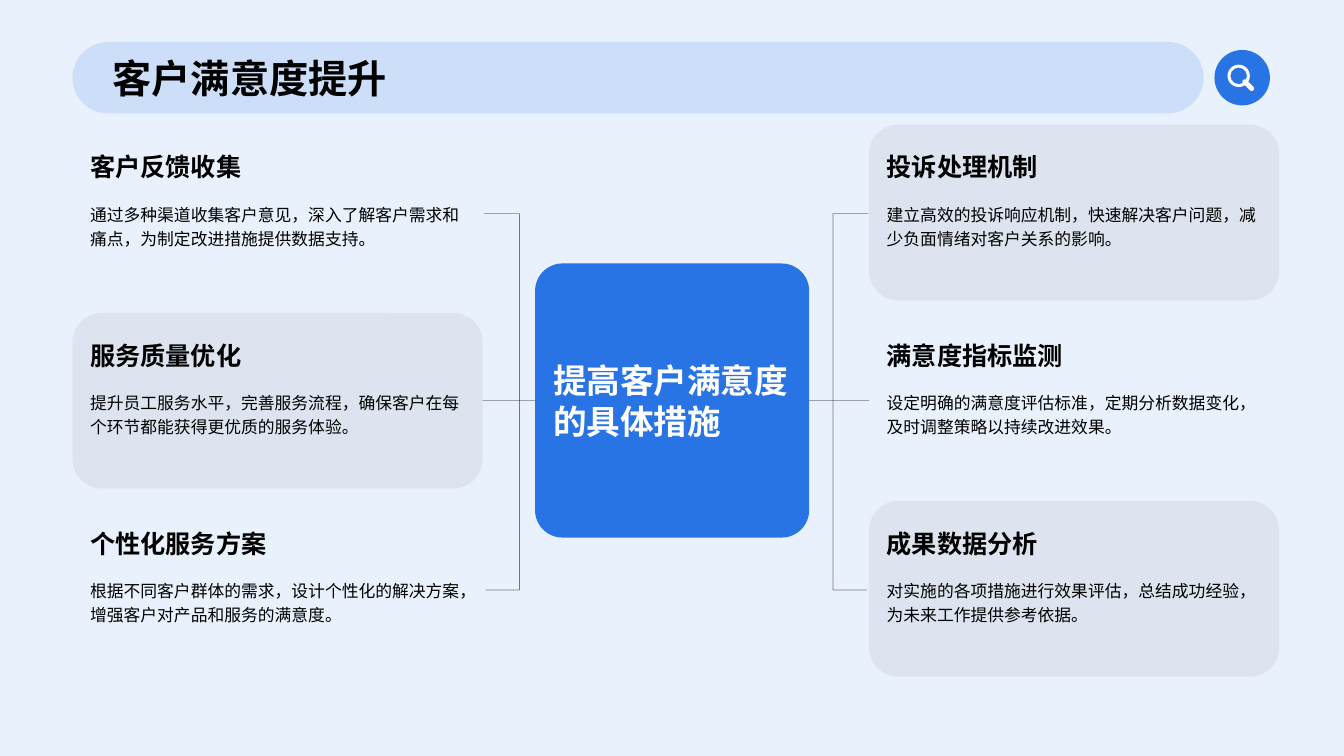
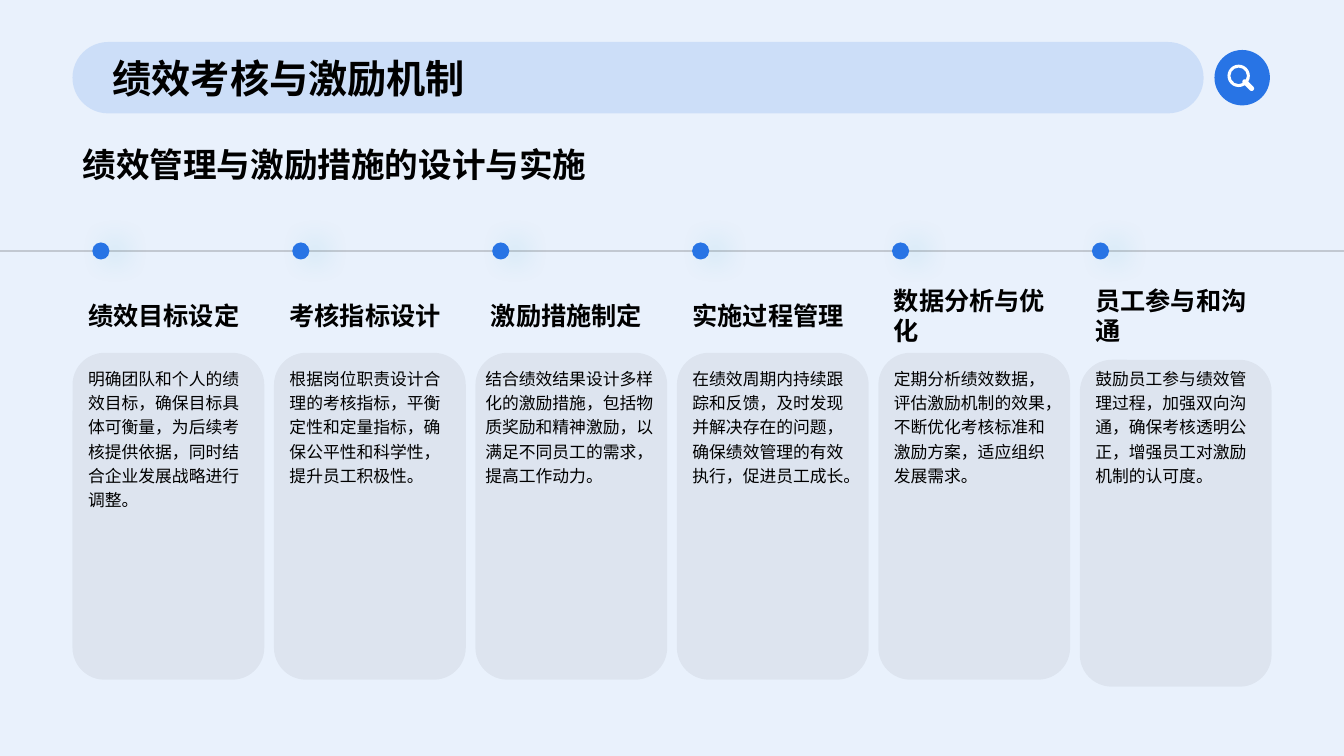
from lxml import etree
from pptx import Presentation
from pptx.dml.color import RGBColor
from pptx.enum.shapes import MSO_CONNECTOR, MSO_SHAPE
from pptx.enum.text import MSO_ANCHOR, PP_ALIGN
from pptx.oxml.ns import qn
from pptx.util import Pt

ROUND, OVAL, DONUT = MSO_SHAPE.ROUNDED_RECTANGLE, MSO_SHAPE.OVAL, MSO_SHAPE.DONUT
STRAIGHT, ELBOW = MSO_CONNECTOR.STRAIGHT, MSO_CONNECTOR.ELBOW
TOP, MIDDLE, LEFT = MSO_ANCHOR.TOP, MSO_ANCHOR.MIDDLE, PP_ALIGN.LEFT

COLORS = {
    "background": "E9F1FC",
    "blue": "2874E5",
    "black": "000000",
    "white": "FFFFFF",
    "timeline": "0D0D0D",
    "glow": "44B4CF",
}
TITLE_FONT, BODY_FONT = "Times New Roman", "Arial"
SLIDE_W, SLIDE_H = 960, 540
MARGIN = 51.8

MEASURES = [
    [
        ("客户反馈收集", "通过多种渠道收集客户意见，深入了解客户需求和痛点，为制定改进措施提供数据支持。"),
        ("服务质量优化", "提升员工服务水平，完善服务流程，确保客户在每个环节都能获得更优质的服务体验。"),
        ("个性化服务方案", "根据不同客户群体的需求，设计个性化的解决方案，增强客户对产品和服务的满意度。"),
    ],
    [
        ("投诉处理机制", "建立高效的投诉响应机制，快速解决客户问题，减少负面情绪对客户关系的影响。"),
        ("满意度指标监测", "设定明确的满意度评估标准，定期分析数据变化，及时调整策略以持续改进效果。"),
        ("成果数据分析", "对实施的各项措施进行效果评估，总结成功经验，为未来工作提供参考依据。"),
    ],
]
STEPS = [
    ("绩效目标设定", "明确团队和个人的绩效目标，确保目标具体可衡量，为后续考核提供依据，同时结合企业发展战略进行调整。"),
    ("考核指标设计", "根据岗位职责设计合理的考核指标，平衡定性和定量指标，确保公平性和科学性，提升员工积极性。"),
    ("激励措施制定", "结合绩效结果设计多样化的激励措施，包括物质奖励和精神激励，以满足不同员工的需求，提高工作动力。"),
    ("实施过程管理", "在绩效周期内持续跟踪和反馈，及时发现并解决存在的问题，确保绩效管理的有效执行，促进员工成长。"),
    ("数据分析与优化", "定期分析绩效数据，评估激励机制的效果，不断优化考核标准和激励方案，适应组织发展需求。"),
    ("员工参与和沟通", "鼓励员工参与绩效管理过程，加强双向沟通，确保考核透明公正，增强员工对激励机制的认可度。"),
]
WIDE_STEP, LOWERED_STEP = 2, 5


def rgb(name):
    return RGBColor.from_string(COLORS[name])


def set_alpha(fill_parent, percent):
    color = fill_parent.find(qn("a:solidFill"))[0]
    etree.SubElement(color, qn("a:alpha"), val=str(percent * 1000))


def add_block(s, kind, x, y, w, h, color, alpha=100, adj=None):
    sp = s.shapes.add_shape(kind, Pt(x), Pt(y), Pt(w), Pt(h))
    sp.shadow.inherit = False
    sp.fill.solid()
    sp.fill.fore_color.rgb = rgb(color)
    sp.line.fill.background()
    if alpha < 100:
        set_alpha(sp._element.spPr, alpha)
    if adj is not None:
        sp.adjustments[0] = adj
    return sp


def add_card(s, x, y, w, h):
    add_block(s, ROUND, x, y, w, h, "black", alpha=5)


def write(sp, text, size, color="black", bold=True, anchor=MIDDLE, spacing=None, font=BODY_FONT):
    tf = sp.text_frame
    tf.word_wrap = True
    tf.vertical_anchor = anchor
    p = tf.paragraphs[0]
    p.text = text
    p.alignment = LEFT
    if spacing:
        p.line_spacing = spacing
    p.font.size = Pt(size)
    p.font.bold = bold
    p.font.name = font
    p.font.color.rgb = rgb(color)


def add_text(s, x, y, w, h, text, size, **style):
    write(s.shapes.add_textbox(Pt(x), Pt(y), Pt(w), Pt(h)), text, size, **style)


def add_body(s, x, y, w, h, text):
    add_text(s, x, y, w, h, text, 12, bold=False, anchor=TOP, spacing=1.2)


def add_line(s, x1, y1, x2, y2, color="black", kind=STRAIGHT):
    line = s.shapes.add_connector(kind, Pt(x1), Pt(y1), Pt(x2), Pt(y2))
    line.line.width = Pt(0.5)
    line.line.color.rgb = rgb(color)
    spPr = line._element.spPr
    set_alpha(spPr.find(qn("a:ln")), 50)
    etree.SubElement(spPr, qn("a:effectLst"))
    return line


def add_bracket(s, x, y1, y2, reach):
    step = 1 if reach > 0 else -1
    line = add_line(s, x, y1, x + step, y2, kind=ELBOW)
    guides = line._element.spPr.find(qn("a:prstGeom")).get_or_add_avLst()
    etree.SubElement(guides, qn("a:gd"), name="adj1", fmla=f"val {round(abs(reach) * 100000)}")


def add_glow(sp):
    effects = sp._element.spPr.find(qn("a:effectLst"))
    shadow = etree.SubElement(effects, qn("a:outerShdw"), blurRad=str(Pt(20)),
                              dist=str(Pt(10)), dir="0", algn="ctr", rotWithShape="0")
    color = etree.SubElement(shadow, qn("a:srgbClr"), val=COLORS["glow"])
    etree.SubElement(color, qn("a:alpha"), val="32000")


def add_search_icon(s):
    add_block(s, OVAL, 867.5, 35.7, 39.6, 39.6, "blue")
    add_block(s, DONUT, 876.8, 46.2, 16, 16, "white", adj=0.13)
    handle = add_block(s, ROUND, 886.4, 59, 10.4, 3.6, "white", adj=0.5)
    handle.rotation = 45


def new_slide(prs, title):
    s = prs.slides.add_slide(prs.slide_layouts[6])
    add_block(s, ROUND, MARGIN, 30, 808, 51, "blue", alpha=15, adj=0.5)
    add_search_icon(s)
    add_text(s, 73.4, 33, 765.4, 45.4, title, 28, font=TITLE_FONT)
    return s


def build_satisfaction(prs):
    s = new_slide(prs, "客户满意度提升")
    card_w, card_h, top, pitch = 293, 125.5, 89, 134.4
    columns = [MARGIN, SLIDE_W - MARGIN - card_w + 5.6]
    left_end, right_end = columns[0] + card_w, columns[1]
    first_y = 152.6
    add_line(s, left_end, 286, right_end, 286)
    add_bracket(s, left_end + 1, first_y, first_y + 2 * pitch, 25.5)
    add_bracket(s, right_end - 0.5, first_y, first_y + 2 * pitch, -25.5)
    center = add_block(s, ROUND, 382.2, 188.2, 195.8, 195.8, "blue", adj=0.1)
    write(center, "提高客户满意度的具体措施", 24, color="white")
    for col, measures in enumerate(MEASURES):
        for row, (heading, body) in enumerate(measures):
            x, y = columns[col], top + row * pitch
            if (col + row) % 2:
                add_card(s, x, y, card_w, card_h)
            add_text(s, x + 5.5, y + 5.4, 282, 45.4, heading, 18, spacing=1.2)
            add_body(s, x + 5.5, y + 50.8, 282, 69, body)


def build_performance(prs):
    s = new_slide(prs, "绩效考核与激励机制")
    card_w, card_h, pitch, inset = 137, 233.5, 143.9, 4
    add_line(s, 0, 179.3, SLIDE_W, 179.3, color="timeline")
    add_text(s, MARGIN, 89.3, 855.4, 56.2, "绩效管理与激励措施的设计与实施", 24)
    for i, (heading, body) in enumerate(STEPS):
        x = MARGIN + i * pitch
        add_card(s, x, 257 if i == LOWERED_STEP else 252, card_w, card_h)
        add_text(s, x + inset, 193, card_w - 2 * inset, 64.8, heading, 18)
        add_glow(add_block(s, OVAL, 66 + i * 142.8, 173.2, 12.2, 12.2, "blue"))
        pad = 0 if i == WIDE_STEP else inset
        add_body(s, x + pad, 257, card_w - 2 * pad, 224, body)


def main():
    prs = Presentation()
    prs.slide_width, prs.slide_height = Pt(SLIDE_W), Pt(SLIDE_H)
    fill = prs.slide_master.background.fill
    fill.solid()
    fill.fore_color.rgb = rgb("background")
    build_satisfaction(prs)
    build_performance(prs)
    prs.save("out.pptx")


if __name__ == "__main__":
    main()
